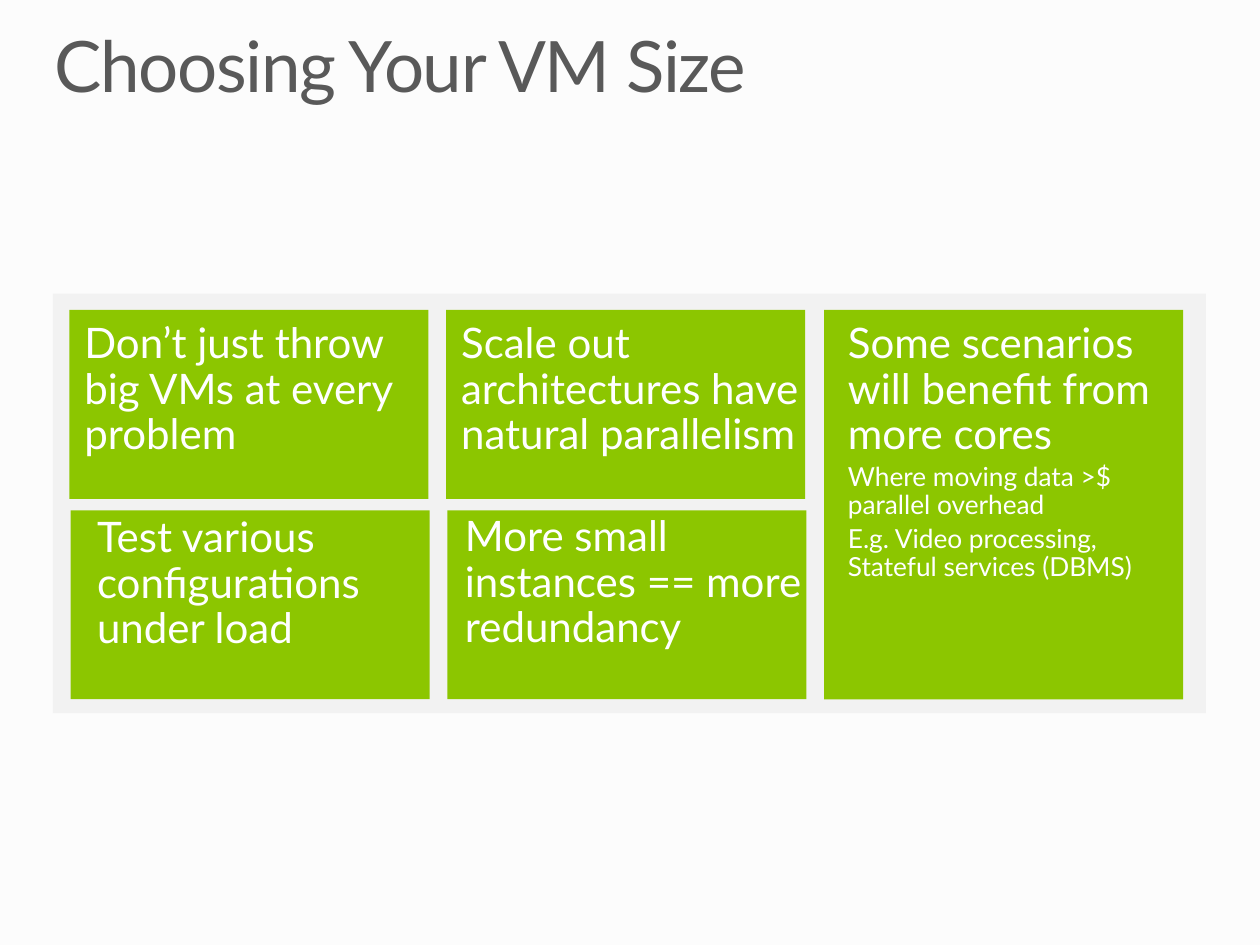
"""Build the slide on choosing a virtual machine size."""
from pptx import Presentation
from pptx.dml.color import RGBColor
from pptx.enum import shapes, text
from pptx.util import Inches, Pt

BACKGROUND = RGBColor(0xFC, 0xFC, 0xFC)
PANEL = RGBColor(0xF2, 0xF2, 0xF2)
GREEN = RGBColor(0x8C, 0xC6, 0x00)
WHITE = RGBColor(0xFF, 0xFF, 0xFF)
GREY = RGBColor(0x59, 0x59, 0x59)

TILE_WIDTH, TILE_HEIGHT, TILE_STEP = 2.85, 1.5, 2.99
TOP_ROW, BOTTOM_ROW = 2.46, 4.05

TEXTS = [
    (3.61, 4.09, 2.85, 1.09, ["More small instances == more redundancy"]),
    (6.65, 2.56, 2.6, 2.1, ["Some scenarios will benefit from more cores",
                            "Where moving data >$ parallel overhead",
                            "E.g. Video processing, Stateful services (DBMS)"]),
    (0.59, 2.56, 2.63, 1.09, ["Don’t just throw big VMs at every problem"]),
    (3.58, 2.56, 2.85, 1.09, ["Scale out architectures have natural parallelism"]),
    (0.69, 4.1, 2.85, 1.09, ["Test various configurations under load"]),
]


class SlideBuilder:
    """Holds the text style and the current slide."""

    font = "Lato"
    heading_size, detail_size, title_size = 24, 15, 40.5
    line_spacing = 0.9

    def __init__(self, presentation):
        self.slide = presentation.slides.add_slide(presentation.slide_layouts[5])
        fill = self.slide.background.fill
        fill.solid()
        fill.fore_color.rgb = BACKGROUND

    def prepare_frame(self, frame, left_inset):
        frame.word_wrap = True
        frame.auto_size = text.MSO_AUTO_SIZE.NONE
        frame.vertical_anchor = text.MSO_ANCHOR.TOP
        frame.margin_left = Inches(left_inset)
        frame.margin_top = frame.margin_right = frame.margin_bottom = 0

    def format_paragraph(self, paragraph, size, color):
        paragraph.alignment = text.PP_ALIGN.LEFT
        paragraph.line_spacing = self.line_spacing
        for run in paragraph.runs:
            run.font.name = self.font
            run.font.size = Pt(size)
            run.font.color.rgb = color

    def title(self, left, top, width, height, wording):
        shape = self.slide.shapes.title
        shape.left, shape.top = Inches(left), Inches(top)
        shape.width, shape.height = Inches(width), Inches(height)
        self.prepare_frame(shape.text_frame, 0)
        shape.text_frame.text = wording
        paragraph = shape.text_frame.paragraphs[0]
        self.format_paragraph(paragraph, self.title_size, GREY)
        paragraph.runs[0].font._element.set("spc", "-80")

    def rectangle(self, left, top, width, height, color):
        shape = self.slide.shapes.add_shape(
            shapes.MSO_SHAPE.RECTANGLE,
            Inches(left), Inches(top), Inches(width), Inches(height))
        shape.shadow.inherit = False
        shape.fill.solid()
        shape.fill.fore_color.rgb = color
        shape.line.fill.background()

    def text_box(self, left, top, width, height, lines):
        shape = self.slide.shapes.add_textbox(
            Inches(left), Inches(top), Inches(width), Inches(height))
        frame = shape.text_frame
        self.prepare_frame(frame, 0.08)
        frame.text = "\n".join(lines)
        for index, paragraph in enumerate(frame.paragraphs):
            size = self.detail_size if index else self.heading_size
            self.format_paragraph(paragraph, size, WHITE)
            paragraph.space_before = Pt(0.2 * size)


def main():
    presentation = Presentation()
    presentation.slide_width, presentation.slide_height = Inches(10), Inches(7.5)
    builder = SlideBuilder(presentation)
    builder.title(0.43, 0.25, 9.15, 0.61, "Choosing Your VM Size")
    builder.rectangle(0.42, 2.33, 9.15, 3.33, PANEL)
    for left, top in ((0.56, BOTTOM_ROW), (0.55, TOP_ROW)):
        for column in range(2):
            builder.rectangle(left + column * TILE_STEP, top,
                              TILE_WIDTH, TILE_HEIGHT, GREEN)
    builder.rectangle(6.54, TOP_ROW, TILE_WIDTH,
                      BOTTOM_ROW + TILE_HEIGHT - TOP_ROW, GREEN)
    for left, top, width, height, lines in TEXTS:
        builder.text_box(left, top, width, height, lines)
    presentation.save("out.pptx")


if __name__ == "__main__":
    main()
